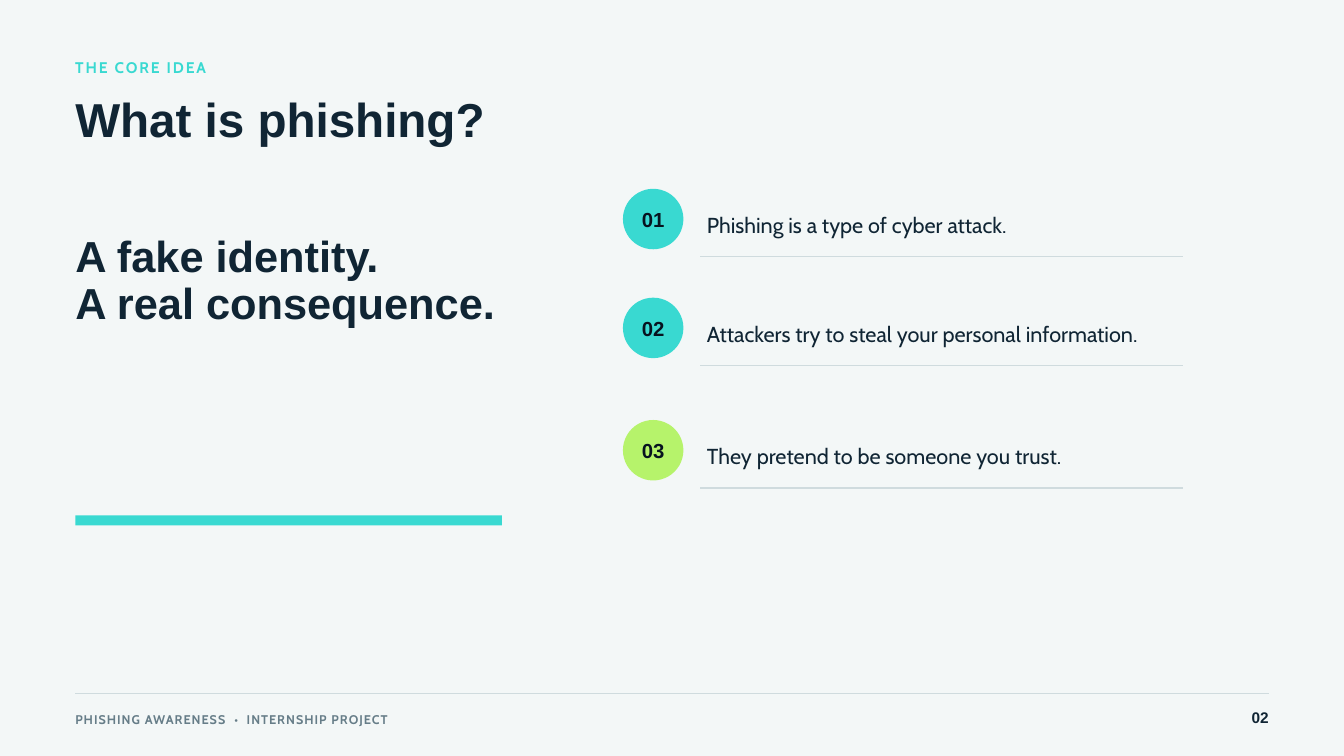
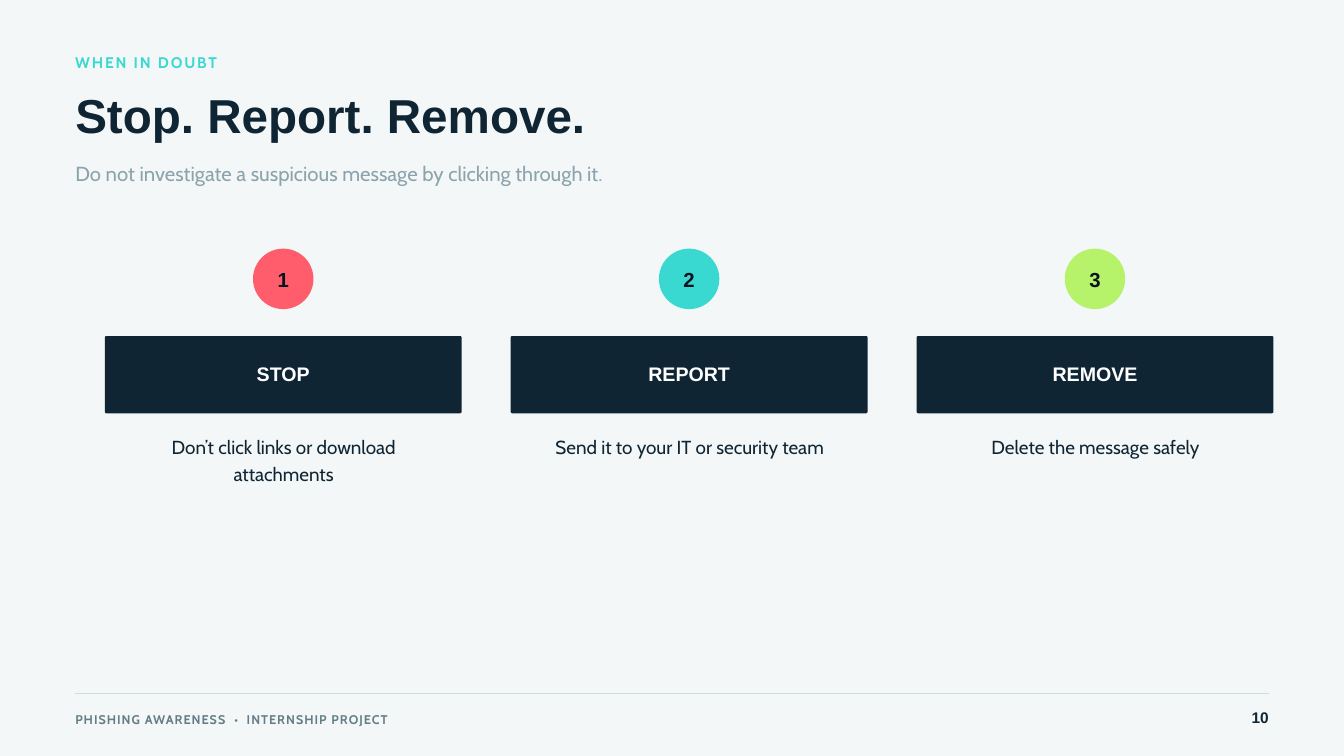
from dataclasses import dataclass

from lxml import etree
from pptx import Presentation
from pptx.dml.color import RGBColor
from pptx.enum.shapes import MSO_CONNECTOR, MSO_SHAPE
from pptx.enum.text import MSO_ANCHOR, MSO_AUTO_SIZE, PP_ALIGN
from pptx.oxml.ns import qn
from pptx.util import Inches, Pt


@dataclass(frozen=True)
class TextStyle:
    size: float
    leading: float
    color: str
    font: str = "Cabin"
    bold: bool = False
    tracking: float = 0
    align: PP_ALIGN = PP_ALIGN.LEFT


@dataclass(frozen=True)
class Theme:
    paper: str = "F3F7F7"
    navy: str = "102534"
    teal: str = "39D9D1"
    lime: str = "B6F36B"
    coral: str = "FF5C6C"
    rule: str = "CFDBDE"
    eyebrow: TextStyle = TextStyle(16.5, 23.1, "39D9D1", bold=True, tracking=2)
    title: TextStyle = TextStyle(51, 53.5, "102534", "Arial", True)
    statement: TextStyle = TextStyle(46.5, 50.2, "102534", "Arial", True)
    subtitle: TextStyle = TextStyle(21.8, 30.4, "8CA2AD")
    point: TextStyle = TextStyle(23.2, 31.4, "102534")
    badge: TextStyle = TextStyle(21.8, 30.4, "07131F", "Arial", True, align=PP_ALIGN.CENTER)
    action: TextStyle = TextStyle(21, 24.1, "FFFFFF", "Arial", True, align=PP_ALIGN.CENTER)
    advice: TextStyle = TextStyle(20.2, 28.4, "102534", align=PP_ALIGN.CENTER)
    footer: TextStyle = TextStyle(13.5, 18.9, "667D88", bold=True, tracking=1.1)
    page: TextStyle = TextStyle(16.5, 23.1, "102534", "Arial", True, align=PP_ALIGN.RIGHT)


THEME = Theme()
MARGIN = 1.12
RIGHT_EDGE = 18.88
BADGE_SIZE = 0.9


def set_tracking(font, points):
    """Set letter spacing, which python-pptx does not offer."""
    font._rPr.set("spc", str(round(points * 100)))


def style_frame(frame, style, anchor=MSO_ANCHOR.TOP, margins=(0, 0, 0, 0)):
    frame.word_wrap = True
    frame.auto_size = MSO_AUTO_SIZE.NONE
    frame.vertical_anchor = anchor
    (frame.margin_left, frame.margin_top,
     frame.margin_right, frame.margin_bottom) = map(Inches, margins)
    for paragraph in frame.paragraphs:
        paragraph.alignment = style.align
        paragraph.line_spacing = Pt(style.leading)
        paragraph.space_before = Pt(0)
        font = paragraph.font
        font.name, font.size, font.bold = style.font, Pt(style.size), style.bold
        font.color.rgb = RGBColor.from_string(style.color)
        if style.tracking:
            set_tracking(font, style.tracking)


def add_text(slide, text, left, top, width, height, style):
    frame = slide.shapes.add_textbox(*map(Inches, (left, top, width, height))).text_frame
    frame.text = text
    style_frame(frame, style)
    return frame


def add_filled_shape(slide, preset, left, top, width, height, color):
    shape = slide.shapes.add_shape(preset, *map(Inches, (left, top, width, height)))
    shape.shadow.inherit = False
    shape.fill.solid()
    shape.fill.fore_color.rgb = RGBColor.from_string(color)
    shape.line.fill.background()
    return shape


def add_rule(slide, left, right, y, weight):
    rule = slide.shapes.add_connector(
        MSO_CONNECTOR.STRAIGHT, *map(Inches, (left, y, right, y)))
    rule.line.color.rgb = RGBColor.from_string(THEME.rule)
    rule.line.width = Pt(weight)
    etree.SubElement(rule._element.spPr, qn("a:effectLst"))


def add_badge(slide, label, left, top, color):
    badge = add_filled_shape(slide, MSO_SHAPE.OVAL, left, top, BADGE_SIZE, BADGE_SIZE, color)
    badge.text_frame.text = label
    style_frame(badge.text_frame, THEME.badge, MSO_ANCHOR.MIDDLE, (0.06, 0.06, 0.06, 0.1))


def add_heading(slide, eyebrow, title, top):
    add_text(slide, eyebrow, MARGIN, top, 5.4, 0.3, THEME.eyebrow)
    heading = slide.shapes.title
    heading.left, heading.top, heading.width, heading.height = map(
        Inches, (MARGIN, top + 0.63, 13.54, 0.77))
    heading.text_frame.text = title
    style_frame(heading.text_frame, THEME.title)


def add_footer(slide, page):
    add_rule(slide, MARGIN, RIGHT_EDGE, 10.32, 2)
    frame = add_text(slide, "", MARGIN, 10.56, 7.92, 0.24, THEME.footer)
    for piece in ("PHISHING AWARENESS", " ", "•", " ", "INTERNSHIP PROJECT"):
        run = frame.paragraphs[0].add_run()
        run.text = piece
        if piece == " ":
            set_tracking(run.font, 5.2)
    add_text(slide, page, RIGHT_EDGE - 0.75, 10.49, 0.75, 0.3, THEME.page)


def add_point(slide, number, text, top, color):
    add_badge(slide, number, 9.27, top, color)
    add_rule(slide, 10.42, 17.6, top + 1.01, 1.5)
    add_text(slide, text, 10.52, top + 0.29, 7.29, 0.4, THEME.point)


def add_step(slide, number, action, advice, left, color):
    width = 5.31
    add_badge(slide, number, left + (width - BADGE_SIZE) / 2, 3.7, color)
    bar = add_filled_shape(slide, MSO_SHAPE.ROUNDED_RECTANGLE, left, 5, width, 1.15, THEME.navy)
    bar.adjustments[0] = 0.02
    bar.text_frame.text = action
    style_frame(bar.text_frame, THEME.action, MSO_ANCHOR.MIDDLE, (0.06,) * 4)
    add_text(slide, advice, left + 0.37, 6.43, 4.58, 0.75, THEME.advice)


def build_definition(slide):
    add_heading(slide, "THE CORE IDEA", "What is phishing?", 0.82)
    add_text(slide, "A fake identity.\nA real consequence.", MARGIN, 3.49, 7.92, 1.4,
             THEME.statement)
    add_filled_shape(slide, MSO_SHAPE.RECTANGLE, MARGIN, 7.67, 6.35, 0.15, THEME.teal)
    points = (
        ("Phishing is a type of cyber attack.", 2.81, THEME.teal),
        ("Attackers try to steal your personal information.", 4.43, THEME.teal),
        ("They pretend to be someone you trust.", 6.25, THEME.lime),
    )
    for number, (text, top, color) in enumerate(points, start=1):
        add_point(slide, f"{number:02}", text, top, color)
    add_footer(slide, "02")


def build_response(slide):
    add_heading(slide, "WHEN IN DOUBT", "Stop. Report. Remove.", 0.75)
    add_text(slide, "Do not investigate a suspicious message by clicking through it.",
             MARGIN, 2.34, 10.42, 0.41, THEME.subtitle)
    steps = (
        ("STOP", "Don’t click links or download attachments", THEME.coral),
        ("REPORT", "Send it to your IT or security team", THEME.teal),
        ("REMOVE", "Delete the message safely", THEME.lime),
    )
    for index, (action, advice, color) in enumerate(steps):
        add_step(slide, str(index + 1), action, advice, 1.56 + index * 6.04, color)
    add_footer(slide, "10")


def main():
    deck = Presentation()
    deck.slide_width, deck.slide_height = Inches(20), Inches(11.25)
    background = deck.slide_master.background.fill
    background.solid()
    background.fore_color.rgb = RGBColor.from_string(THEME.paper)
    title_only = deck.slide_layouts.get_by_name("Title Only")
    for build in (build_definition, build_response):
        build(deck.slides.add_slide(title_only))
    deck.save("out.pptx")


if __name__ == "__main__":
    main()
